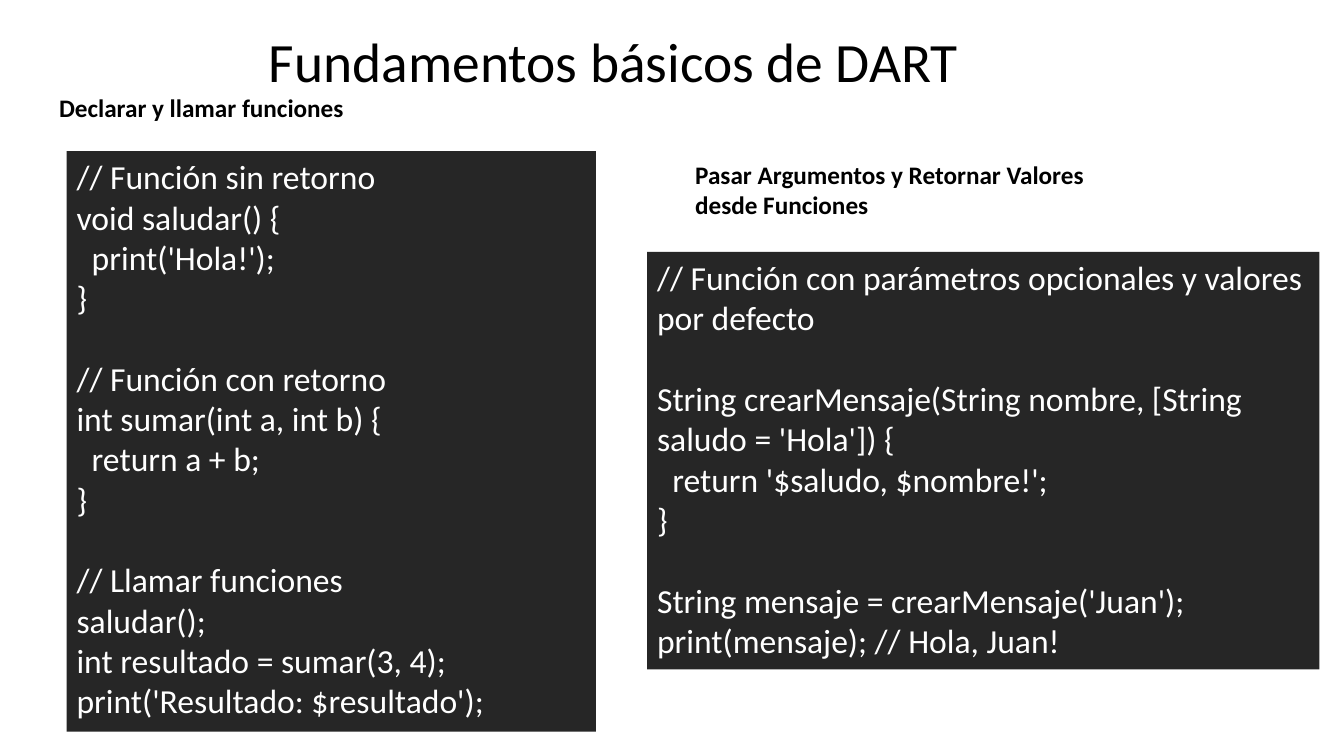
from pptx import Presentation
from pptx.dml.color import RGBColor
from pptx.enum.shapes import MSO_SHAPE
from pptx.enum.text import MSO_ANCHOR, PP_ALIGN
from pptx.util import Cm, Pt

COLORS = {"ink": "000000", "panel": "262626", "code": "FFFFFF"}
FONT = "Calibri"
CODE_SIZE = 24
CODE_GAP = 28.8

BASICS = [
    ["// Función sin retorno", "void saludar() {", "  print('Hola!');", "}"],
    ["// Función con retorno", "int sumar(int a, int b) {", "  return a + b;", "}"],
    ["// Llamar funciones", "saludar();", "int resultado = sumar(3, 4);",
     "print('Resultado: $resultado');"],
]
PARAMS = [
    ["// Función con parámetros opcionales y valores por defecto"],
    ["String crearMensaje(String nombre, [String saludo = 'Hola']) {",
     "  return '$saludo, $nombre!';", "}"],
    ["String mensaje = crearMensaje('Juan');", "print(mensaje); // Hola, Juan!"],
]


def color(name):
    return RGBColor.from_string(COLORS[name])


def style(para, size, tint, bold=False):
    para.alignment = PP_ALIGN.LEFT
    font = para.font
    font.name = FONT
    font.size = Pt(size)
    font.bold = bold
    font.color.rgb = color(tint)


def add_label(slide, text, box, size, bold=False):
    frame = slide.shapes.add_textbox(*map(Cm, box)).text_frame
    frame.word_wrap = True
    para = frame.paragraphs[0]
    para.text = text
    style(para, size, "ink", bold)
    return frame


def add_title(slide, text, box):
    frame = add_label(slide, text, box, 39.6)
    frame.vertical_anchor = MSO_ANCHOR.MIDDLE
    frame.paragraphs[0].line_spacing = 0.9


def add_code(slide, groups, box):
    """Draw a dark panel of code, with one line's space between groups."""
    panel = slide.shapes.add_shape(MSO_SHAPE.RECTANGLE, *map(Cm, box))
    panel.shadow.inherit = False
    panel.fill.solid()
    panel.fill.fore_color.rgb = color("panel")
    panel.line.fill.background()
    frame = panel.text_frame
    frame.word_wrap = True
    frame.vertical_anchor = MSO_ANCHOR.TOP
    para = frame.paragraphs[0]
    for g, group in enumerate(groups):
        for i, line in enumerate(group):
            if g or i:
                para = frame.add_paragraph()
            para.text = line
            style(para, CODE_SIZE, "code")
            if g and not i:
                para.space_before = Pt(CODE_GAP)


def main():
    deck = Presentation()
    deck.slide_width, deck.slide_height = Cm(33.87), Cm(19.05)
    slide = deck.slides.add_slide(deck.slide_layouts[6])
    add_title(slide, "Fundamentos básicos de DART", (6.53, 0.77, 18.9, 1.7))
    add_label(slide, "Declarar y llamar funciones",
              (1.24, 2.21, 11.46, 1.02), 18, bold=True)
    add_code(slide, BASICS, (1.68, 3.81, 13.34, 14.63))
    add_code(slide, PARAMS, (16.31, 6.35, 16.94, 10.52))
    add_label(slide, "Pasar Argumentos y Retornar Valores desde Funciones",
              (17.27, 3.89, 11.46, 1.8), 18, bold=True)
    deck.save("out.pptx")


if __name__ == "__main__":
    main()
